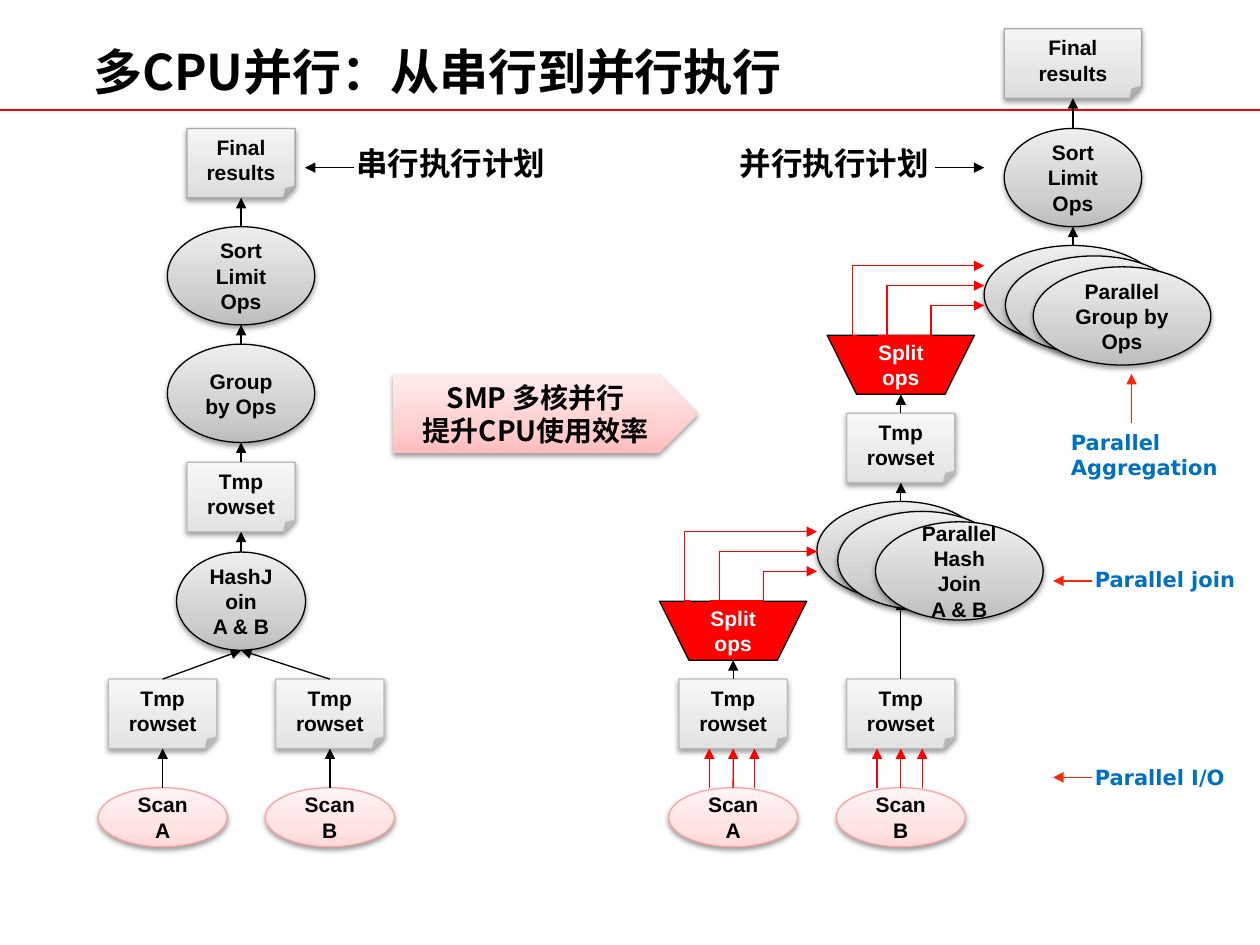
from copy import deepcopy
from dataclasses import dataclass

from lxml.etree import SubElement
from pptx import Presentation
from pptx.dml.color import RGBColor
from pptx.enum.shapes import MSO_CONNECTOR, MSO_SHAPE
from pptx.enum.text import MSO_ANCHOR, MSO_AUTO_SIZE, PP_ALIGN
from pptx.oxml.ns import qn
from pptx.util import Cm, Pt

COLORS = {"black": "000000", "white": "FFFFFF", "red": "FF0000", "rule": "F70000",
          "pointer": "FB2603", "blue": "0070C0", "pink line": "FAA4A4",
          "note line": "BCBCBC", "result line": "AAAAAA"}
# Gradient colours run from the bottom of the shape to its top
GRADIENTS = {"pink": ("FFD9D9", "FFE4E4", "FFF4F4"), "note": ("E2E2E2", "EAEAEA", "F7F7F7"),
             "result": ("DBDBDB", "E5E5E5", "F5F5F5"), "gray": ("BDBDBD", "D1D1D1", "EEEEEE"),
             "banner": ("FFBCBC", "FFD0D0", "FFEDED")}
GRADIENT_POSITIONS = (0, 0.35, 1)
CJK_FONT = "Noto Sans CJK SC"


@dataclass(frozen=True)
class Style:
    preset: MSO_SHAPE
    height: float
    line: str | None
    gradient: str | None = None
    text_color: str = "black"
    anchor: MSO_ANCHOR = MSO_ANCHOR.MIDDLE


STYLES = {
    "scan": Style(MSO_SHAPE.OVAL, 1.19, "pink line", "pink"),
    "operator": Style(MSO_SHAPE.OVAL, 1.98, "black", "gray"),
    "rowset": Style(MSO_SHAPE.FOLDED_CORNER, 1.4, "note line", "note", anchor=MSO_ANCHOR.TOP),
    "result": Style(MSO_SHAPE.FOLDED_CORNER, 1.4, "result line", "result", anchor=MSO_ANCHOR.TOP),
    "split": Style(MSO_SHAPE.FLOWCHART_MANUAL_OPERATION, 1.19, "black", text_color="white"),
    "banner": Style(MSO_SHAPE.PENTAGON, 1.6, None, "banner"),
}


@dataclass(frozen=True)
class Node:
    """A shape of the plan, placed by its centre line and top, in centimetres."""
    name: str
    style: str
    center: float
    top: float
    width: float
    text: str = ""
    font: str = "Arial"
    size: float = 12


@dataclass(frozen=True)
class Label:
    """A caption and the two ends of its arrow, in centimetres."""
    text: str
    box: tuple
    arrow: tuple
    size: float = 12
    text_color: str = "blue"
    arrow_color: str = "pointer"


def plan_inputs(side, center_a, center_b):
    """The scans and their row sets, which both plans share."""
    return [node for letter, center in (("A", center_a), ("B", center_b)) for node in (
        Node(f"{side} scan {letter}", "scan", center, 15.88, 2.6, f"Scan\n{letter}"),
        Node(f"{side} rowset {letter}", "rowset", center, 13.69, 2.18, "Tmp\nrowset"))]


BACK_NODES = [
    *plan_inputs("serial", 3.28, 6.65),
    Node("serial join", "operator", 4.86, 11.13, 2.6, "HashJoin\nA & B"),
    Node("serial joined", "rowset", 4.86, 9.32, 2.18, "Tmp\nrowset"),
    Node("serial group", "operator", 4.86, 6.94, 2.97, "Group by Ops"),
    Node("serial sort", "operator", 4.86, 4.57, 2.97, "Sort\nLimit\nOps"),
    Node("serial result", "result", 4.86, 2.59, 2.18, "Final\nresults"),
    Node("banner", "banner", 11, 7.54, 6.15, "SMP 多核并行\n提升CPU使用效率", CJK_FONT, 16),
    *plan_inputs("parallel", 14.78, 18.16),
    Node("scan split", "split", 14.78, 12.12, 2.97, "Split\nops"),
    Node("parallel join", "operator", 18.16, 10.11, 3.38),
    Node("parallel joined", "rowset", 18.16, 8.33, 2.18, "Tmp\nrowset"),
    Node("join split", "split", 18.16, 6.76, 2.97, "Split\nops"),
    Node("parallel group", "operator", 21.63, 4.95, 3.58),
    Node("parallel sort", "operator", 21.63, 2.59, 2.77, "Sort\nLimit\nOps"),
    Node("parallel result", "result", 21.63, 0.58, 2.77, "Final\nresults"),
]
FRONT_NODES = [
    Node("second join", "operator", 18.58, 10.31, 3.38),
    Node("third join", "operator", 19.34, 10.52, 3.38, "Parallel\nHash Join\nA & B"),
    Node("second group", "operator", 22.06, 5.16, 3.58),
    Node("third group", "operator", 22.62, 5.38, 3.58, "Parallel\nGroup by Ops"),
]
FLOW_CHAINS = [
    ("serial scan A", "serial rowset A", "serial join"),
    ("serial scan B", "serial rowset B", "serial join", "serial joined", "serial group",
     "serial sort", "serial result"),
    ("parallel rowset A", "scan split"),
    ("parallel rowset B", "parallel join", "parallel joined", "join split"),
    ("parallel group", "parallel sort", "parallel result"),
]
# Split, target and height of the central arrow above the split
SPLITS = [("scan split", "parallel join", 1), ("join split", "parallel group", 1)]
# Start from the left of the split, end from the central arrow, bend position
SPLIT_BENDS = [(1.02, 0, 0.086), (1.02, 0.4, 0.5), (0.61, -0.4, -0.04)]
LABELS = [
    Label("Parallel I/O", (21.82, 15.29, 3.38, 0.76), (22.02, 15.67, 21.23, 15.67)),
    Label("Parallel join", (21.82, 11.3, 3.4, 0.76), (22.02, 11.71, 21.23, 11.71)),
    Label("Parallel\nAggregation", (21.34, 8.53, 3.6, 1.27), (22.81, 8.53, 22.81, 7.54)),
    Label("串行执行计划", (6.93, 2.77, 4.39, 1.02), (7.14, 3.38, 6.15, 3.38), 18, "black", "black"),
    Label("并行执行计划", (14.66, 2.77, 4.39, 1.02), (18.85, 3.38, 19.84, 3.38), 18, "black", "black"),
]


def rgb(color: str) -> RGBColor:
    return RGBColor.from_string(COLORS.get(color, color))


def write_text(frame, text, *, font="Arial", size=12, color="black",
               align=PP_ALIGN.LEFT, anchor=MSO_ANCHOR.TOP, wrap=True,
               fit=MSO_AUTO_SIZE.NONE):
    frame.word_wrap = wrap
    frame.auto_size = fit
    frame.vertical_anchor = anchor
    for index, line in enumerate(text.split("\n")):
        paragraph = frame.add_paragraph() if index else frame.paragraphs[0]
        paragraph.alignment = align
        run = paragraph.add_run()
        run.text = line
        run.font.size, run.font.bold, run.font.name = Pt(size), True, font
        run.font.color.rgb = rgb(color)
        SubElement(run.font._element, qn("a:ea"), typeface=CJK_FONT)


def fill_gradient(shape, colors):
    shape.fill.gradient()
    shape.fill.gradient_angle = 90
    stop_list = shape._element.spPr.find(".//" + qn("a:gsLst"))
    stop_list.insert(1, deepcopy(stop_list[0]))
    for stop, position, color in zip(shape.fill.gradient_stops, GRADIENT_POSITIONS, colors):
        stop.position = position
        stop.color.rgb = rgb(color)


def add_soft_shadow(shape):
    effects = shape._element.spPr.find(qn("a:effectLst"))
    shadow = SubElement(effects, qn("a:outerShdw"), blurRad="40000", dist="20000",
                        dir="5400000", rotWithShape="0")
    color = SubElement(shadow, qn("a:srgbClr"), val=COLORS["black"])
    SubElement(color, qn("a:alpha"), val="38000")


def add_node(slide, node: Node):
    style = STYLES[node.style]
    shape = slide.shapes.add_shape(style.preset, Cm(node.center - node.width / 2),
                                   Cm(node.top), Cm(node.width), Cm(style.height))
    shape.shadow.inherit = False
    if style.gradient:
        fill_gradient(shape, GRADIENTS[style.gradient])
        add_soft_shadow(shape)
    else:
        shape.fill.solid()
        shape.fill.fore_color.rgb = rgb("red")
    if style.line:
        shape.line.color.rgb = rgb(style.line)
        shape.line.width = Pt(0.75)
    else:
        shape.line.fill.background()
    if node.text:
        write_text(shape.text_frame, node.text, font=node.font, size=node.size,
                   color=style.text_color, align=PP_ALIGN.CENTER, anchor=style.anchor)
    return shape


def add_line(slide, ends, color="black", *, arrow=True, bend: float | None = None):
    kind = MSO_CONNECTOR.STRAIGHT if bend is None else MSO_CONNECTOR.ELBOW
    connector = slide.shapes.add_connector(kind, *ends)
    connector.line.color.rgb = rgb(color)
    connector.line.width = Pt(0.75)
    properties = connector._element.spPr
    if arrow:
        SubElement(properties.find(qn("a:ln")), qn("a:tailEnd"), type="triangle")
    if bend is not None:
        SubElement(properties.prstGeom.get_or_add_avLst(), qn("a:gd"), name="adj1",
                   fmla=f"val {round(bend * 100000)}")
    SubElement(properties, qn("a:effectLst"))
    return connector


def add_flow(slide, source, target, color="black"):
    """Arrow from the top of source to the bottom of target."""
    connector = add_line(slide, (source.left + source.width // 2, source.top,
                                 target.left + target.width // 2, target.top + target.height), color)
    connector.begin_connect(source, 0)
    if target.auto_shape_type != MSO_SHAPE.OVAL:
        connector.end_connect(target, 2)


def add_label(slide, label: Label):
    box = slide.shapes.add_textbox(*map(Cm, label.box))
    write_text(box.text_frame, label.text, font="DejaVu Sans", size=label.size,
               color=label.text_color, wrap=False, fit=MSO_AUTO_SIZE.SHAPE_TO_FIT_TEXT)
    add_line(slide, map(Cm, label.arrow), label.arrow_color)


def main():
    presentation = Presentation()
    presentation.slide_width, presentation.slide_height = Cm(25.4), Cm(19.05)
    slide = presentation.slides.add_slide(presentation.slide_layouts[5])
    add_line(slide, map(Cm, (0, 2.22, 25.4, 2.22)), "rule", arrow=False)
    title = slide.shapes.title
    title.left, title.top, title.width, title.height = map(Cm, (1.88, 0.84, 21.64, 1.35))
    frame = title.text_frame
    frame.margin_left = frame.margin_right = frame.margin_top = frame.margin_bottom = 0
    write_text(frame, "多CPU并行：从串行到并行执行", font=CJK_FONT, size=28)

    shapes = {node.name: add_node(slide, node) for node in BACK_NODES}
    for chain in FLOW_CHAINS:
        for source, target in zip(chain, chain[1:]):
            add_flow(slide, shapes[source], shapes[target])
    for letter in "AB":
        scan, rowset = shapes[f"parallel scan {letter}"], shapes[f"parallel rowset {letter}"]
        add_flow(slide, scan, rowset, "red")
        for offset in (-0.48, 0.43):
            x = scan.left + scan.width // 2 + Cm(offset)
            add_line(slide, (x, scan.top, x, rowset.top + rowset.height), "red")
    for source, target, rise in SPLITS:
        split, operator = shapes[source], shapes[target]
        for start, end, bend in SPLIT_BENDS:
            add_line(slide, (split.left + Cm(start), split.top, operator.left,
                             split.top - Cm(rise - end)), "red", bend=bend)
    for node in FRONT_NODES:
        add_node(slide, node)
    for label in LABELS:
        add_label(slide, label)
    presentation.save("out.pptx")


if __name__ == "__main__":
    main()
